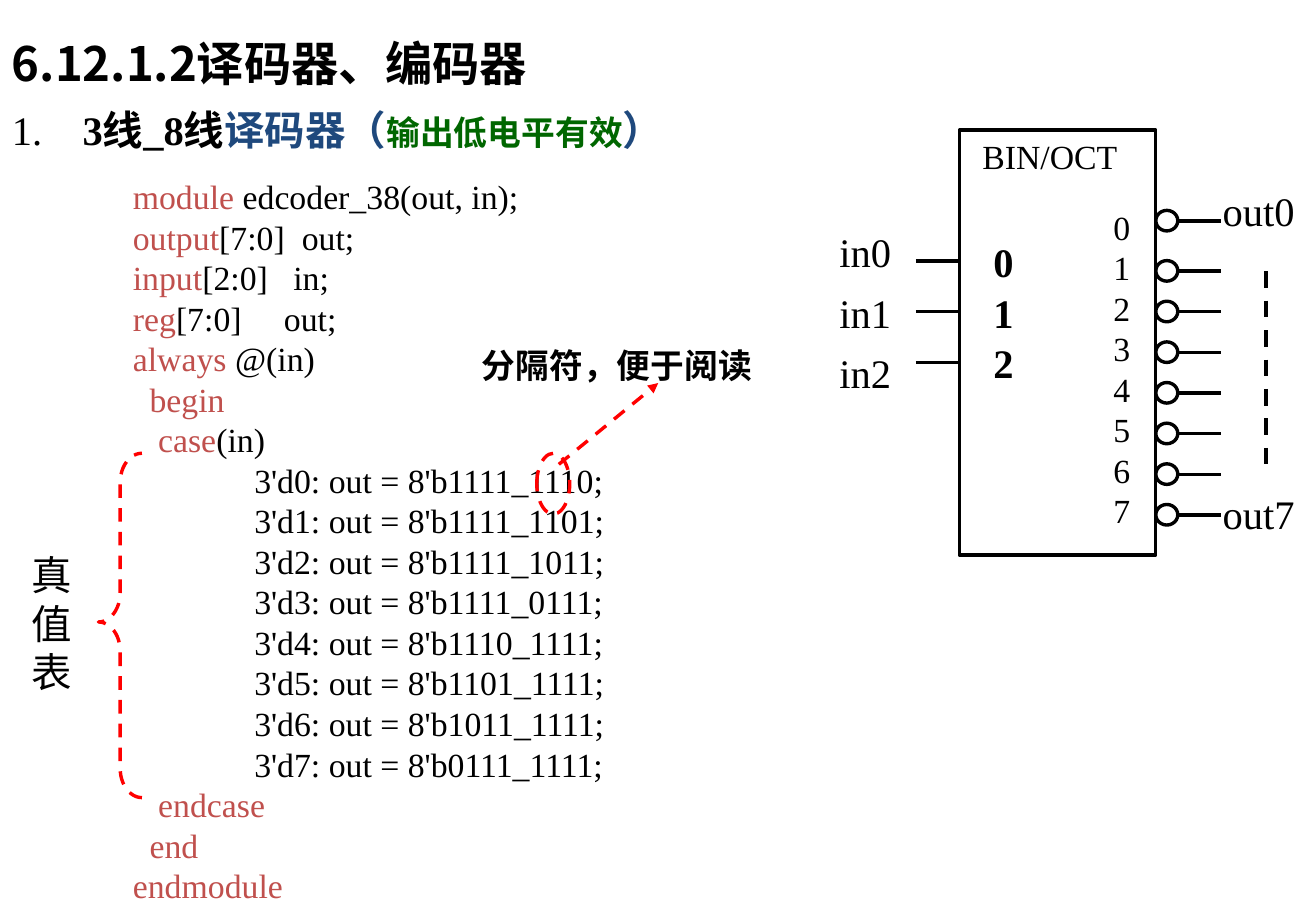
from lxml import etree
from pptx import Presentation
from pptx.dml.color import RGBColor
from pptx.enum.dml import MSO_LINE
from pptx.enum.shapes import MSO_CONNECTOR, MSO_SHAPE
from pptx.enum.text import MSO_ANCHOR
from pptx.oxml.ns import qn
from pptx.util import Cm, Pt

STRAIGHT = MSO_CONNECTOR.STRAIGHT
RECTANGLE, OVAL, BRACE = MSO_SHAPE.RECTANGLE, MSO_SHAPE.OVAL, MSO_SHAPE.LEFT_BRACE
DASH = MSO_LINE.DASH
TOP, MIDDLE = MSO_ANCHOR.TOP, MSO_ANCHOR.MIDDLE
SERIF, SANS = "Times New Roman", "Noto Sans CJK SC"
COLORS = {"ink": "000000", "keyword": "C0504D", "blue": "1F497D",
          "green": "006600", "mark": "FF0000"}

# Declarations: keyword, range, extra gap in points, name
DECLARATIONS = [("output", "[7:0]", 5, "out;"),
                ("input", "[2:0]", 10, "in;"),
                ("reg", "[7:0]", 20, "out;")]
BIT_PATTERNS = [("1111", low) for low in ("1110", "1101", "1011", "0111")] + [
    (high, "1111") for high in ("1110", "1101", "1011", "0111")]

# Each line: indent in cm, then (text, format) spans
KEYWORD = {"color": "keyword"}
CODE_LINES = [
    (0, [("module", KEYWORD), (" edcoder_38(out, in);", {})]),
    *[(0, [(word, KEYWORD), (bits, {}), (" ", {"spacing": gap}), (name, {})])
      for word, bits, gap, name in DECLARATIONS],
    (0, [("always", KEYWORD), (" @(in)", {})]),
    (0.35, [("begin", KEYWORD)]),
    (0.53, [("case", KEYWORD), ("(in)", {})]),
    *[(2.54, [(f"3'd{n}: out = 8'b{high}_{low};", {})])
      for n, (high, low) in enumerate(BIT_PATTERNS)],
    (0.53, [("endcase", KEYWORD)]),
    (0.35, [("end", KEYWORD)]),
    (0, [("endmodule", KEYWORD)]),
]


def add_span(para, text, size=20, color="ink", font=SERIF, bold=False, spacing=0):
    span = para.add_run()
    span.text = text
    span.font.size = Pt(size)
    span.font.bold = bold
    span.font.name = font
    span.font.color.rgb = RGBColor.from_string(COLORS[color])
    properties = span.font._element
    etree.SubElement(properties, qn("a:ea"), typeface=SANS)
    if spacing:
        properties.set("spc", str(spacing * 100))


def set_indent(para, indent):
    properties = para._p.get_or_add_pPr()
    properties.set("marL", str(Cm(indent)))
    properties.set("indent", "0")


def add_frame(page, left, top, width, height, anchor=TOP):
    box = page.shapes.add_textbox(Cm(left), Cm(top), Cm(width), Cm(height))
    box.text_frame.word_wrap = True
    box.text_frame.vertical_anchor = anchor
    return box.text_frame


def add_text(page, text, left, top, width, height, anchor=TOP, size=24, **style):
    para = add_frame(page, left, top, width, height, anchor).paragraphs[0]
    para.line_spacing = Pt(size * 1.2)
    add_span(para, text, size=size, **style)


def style_line(line, color="ink", width=2, dash=None):
    line.color.rgb = RGBColor.from_string(COLORS[color])
    line.width = Pt(width)
    if dash:
        line.dash_style = dash


def add_outline(page, kind, left, top, width, height, **style):
    shape = page.shapes.add_shape(kind, Cm(left), Cm(top), Cm(width), Cm(height))
    shape.shadow.inherit = False
    shape.fill.background()
    style_line(shape.line, **style)
    return shape


def add_line(page, left, top, right, bottom, arrow=False, **style):
    line = page.shapes.add_connector(
        STRAIGHT, Cm(left), Cm(top), Cm(right), Cm(bottom))
    style_line(line.line, **style)
    if arrow:
        etree.SubElement(line.line._get_or_add_ln(), qn("a:tailEnd"), type="triangle")
    etree.SubElement(line._element.spPr, qn("a:effectLst"))


def build_headings(page, left, top):
    add_text(page, "6.12.1.2译码器、编码器", left, top, 23.39, 1.47,
             anchor=MIDDLE, size=28, font=SANS, bold=True)
    para = add_frame(page, left, top + 1.5, 18.5, 1.27).paragraphs[0]
    para.line_spacing = Pt(28.8)
    add_span(para, "1.", size=24)
    add_span(para, " ", size=24, spacing=18)
    add_span(para, "3线_8线", size=24, bold=True)
    add_span(para, "译码器（", size=24, color="blue", font=SANS, bold=True)
    add_span(para, "输出低电平有效", color="green", font=SANS, bold=True)
    add_span(para, "）", size=24, color="blue", font=SANS, bold=True)


def build_decoder(page, left, top, width, height):
    add_outline(page, RECTANGLE, left, top, width, height)
    add_text(page, "BIN/OCT", left + 0.23, top, 3.7, 1.12, size=20)

    # Inputs
    for n in range(3):
        pin = top + 2.74 + 1.06 * n
        add_line(page, left - 0.91, pin, left, pin)
        add_text(page, f"{n}", left + 0.46, pin - 0.63, 1.1, 1.27, bold=True)
        add_text(page, f"in{n}", left - 2.76, top + 1.9 + 1.27 * n, 1.85, 1.27)

    # Active-low outputs
    right = left + width
    add_text(page, "01234567", left + 2.97, top + 1.47, 0.97, 7.04, size=20)
    for pin in [top + 1.9] + [top + 2.95 + 0.85 * n for n in range(7)]:
        add_outline(page, OVAL, right, pin - 0.22, 0.46, 0.43)
        add_line(page, right + 0.46, pin, right + 1.37, pin)
    for label, offset in (("out0", 1.04), ("out7", 7.39)):
        add_text(page, label, right + 1.15, top + offset, 2.2, 1.27)
    add_line(page, right + 2.31, top + 2.95, right + 2.31, top + 6.98,
             width=2.5, dash=DASH)


def build_code(page, left, top, width, height):
    frame = add_frame(page, left, top, width, height)
    for n, (indent, spans) in enumerate(CODE_LINES):
        para = frame.add_paragraph() if n else frame.paragraphs[0]
        para.line_spacing = Pt(24)
        set_indent(para, indent)
        for text, style in spans:
            add_span(para, text, **style)


def build_notes(page, left, top):
    red_dash = {"color": "mark", "dash": DASH}
    # Separator remark
    add_outline(page, OVAL, left + 10.82, top + 2.39, 0.69, 1.27, **red_dash)
    add_line(page, left + 11.28, top + 2.62, left + 13.36, top + 0.92,
             arrow=True, **red_dash)
    add_text(page, "分隔符，便于阅读", left + 9.42, top, 6.8, 1.12, size=20, bold=True)
    # Truth table brace
    brace = add_outline(page, BRACE, left + 1.65, top + 2.39, 0.91, 7.2, **red_dash)
    brace.adjustments[0] = 0.67
    brace.adjustments[1] = 0.49
    add_text(page, "真值表", left, top + 4.29, 1.42, 3.3)


def main():
    deck = Presentation()
    deck.slide_width, deck.slide_height = Cm(27.53), Cm(19.05)
    page = deck.slides.add_slide(deck.slide_layouts[6])
    build_headings(page, 0, 0.58)
    build_decoder(page, 20.07, 2.72, 4.11, 8.89)
    build_code(page, 2.53, 3.56, 13.77, 15.49)
    build_notes(page, 0.41, 7.09)
    deck.save("out.pptx")


if __name__ == "__main__":
    main()
